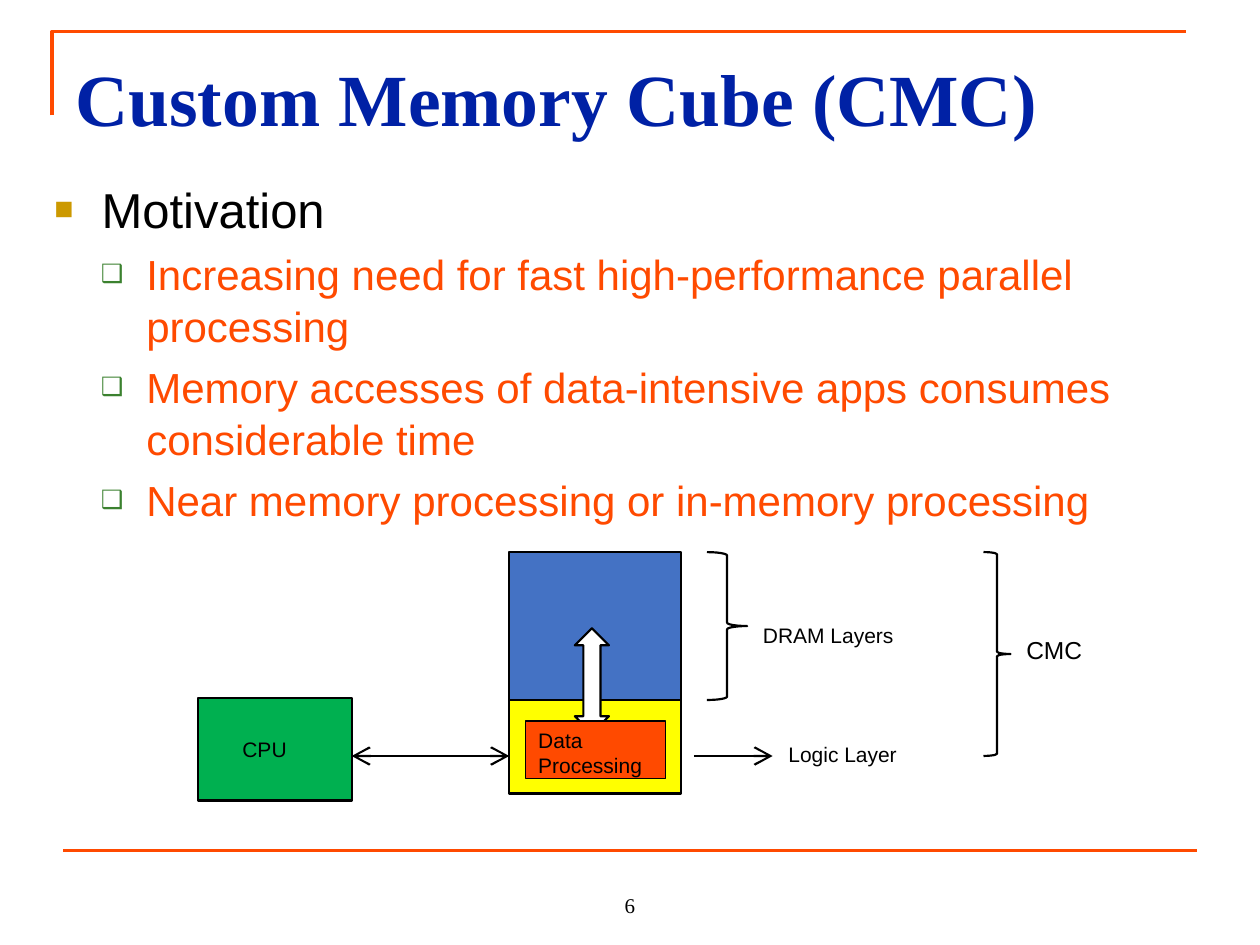
from lxml.etree import SubElement
from pptx import Presentation
from pptx.dml.color import RGBColor
from pptx.enum.shapes import MSO_CONNECTOR, MSO_SHAPE
from pptx.enum.text import MSO_ANCHOR, PP_ALIGN
from pptx.oxml.ns import qn
from pptx.util import Pt

HUES = {"orange": "FF4A00", "navy": "0021A5", "black": "000000", "white": "FFFFFF",
        "gold": "CC9900", "leaf": "3B812F", "blue": "4472C4", "yellow": "FFFF00",
        "green": "00B050"}
LABEL = {"name": "Arial", "size": Pt(12)}
SERIF = {"name": "Times New Roman"}
BARE = {"margin_left": 0, "margin_top": 0, "margin_right": 0, "margin_bottom": 0,
        "word_wrap": False}
LEVELS = [
    {"left": 27, "hang": 27, "mark": "■", "tint": "gold", "scale": 65,
     "hue": "black", "size": 28, "gap": 5.6},
    {"left": 52.5, "hang": 26, "mark": "❑", "tint": "leaf", "scale": 60,
     "hue": "orange", "size": 24, "gap": 4.8},
]
POINTS = [
    (0, "Motivation"),
    (1, "Increasing need for fast high-performance parallel processing"),
    (1, "Memory accesses of data-intensive apps consumes considerable time"),
    (1, "Near memory processing or in-memory processing"),
]


def shade(name):
    """Return the named colour."""
    return RGBColor.from_string(HUES[name])


def apply(item, vals):
    """Set each value in vals on the item."""
    for key, val in vals.items():
        setattr(item, key, val)


def write(para, text, font, hue="black"):
    """Add a styled run to a paragraph."""
    run = para.add_run()
    run.text = text
    apply(run.font, font)
    run.font.color.rgb = shade(hue)


def add_text(slide, box, text, font, hue="black", frame=BARE, align=PP_ALIGN.LEFT):
    """Add a text box with one paragraph."""
    body = slide.shapes.add_textbox(*map(Pt, box)).text_frame
    apply(body, frame)
    body.paragraphs[0].alignment = align
    write(body.paragraphs[0], text, font, hue)


def outline(item, hue, width):
    """Give an item a solid line."""
    item.line.color.rgb = shade(hue)
    item.line.width = Pt(width)


def add_form(slide, kind, box, fill=None, width=1.25):
    """Add a black-lined preset shape."""
    form = slide.shapes.add_shape(kind, *map(Pt, box))
    form.shadow.inherit = False
    if fill:
        form.fill.solid()
        form.fill.fore_color.rgb = shade(fill)
    else:
        form.fill.background()
    outline(form, "black", width)
    return form


def add_line(slide, start, end, hue="black", width=1.25, heads=()):
    """Add a straight line with open heads at the named ends."""
    line = slide.shapes.add_connector(MSO_CONNECTOR.STRAIGHT, *map(Pt, start + end))
    outline(line, hue, width)
    for head in heads:
        SubElement(line.line._get_or_add_ln(), qn("a:" + head),
                   type="arrow", w="lg", len="lg")
    SubElement(line._element.spPr, qn("a:effectLst"))


def add_mark(para, level):
    """Give a paragraph the indent and bullet of its level."""
    props = para._p.get_or_add_pPr()
    props.set("marL", str(Pt(level["left"])))
    props.set("indent", str(-Pt(level["hang"])))
    tint = SubElement(props, qn("a:buClr"))
    SubElement(tint, qn("a:srgbClr"), val=HUES[level["tint"]])
    SubElement(props, qn("a:buSzPct"), val=str(level["scale"] * 1000))
    SubElement(props, qn("a:buFont"), typeface="Arial")
    SubElement(props, qn("a:buChar"), char=level["mark"])


def draw_frame(slide, box):
    """Draw the corner rule, the foot rule and the page number."""
    x, y, w, h = box
    pen = slide.shapes.build_freeform(Pt(x), Pt(y + 48), scale=1.0)
    pen.add_line_segments([(Pt(x), Pt(y)), (Pt(x + w), Pt(y))], close=False)
    rule = pen.convert_to_shape()
    rule.shadow.inherit = False
    rule.fill.background()
    outline(rule, "orange", 2.25)
    add_line(slide, (x + 6, y + h), (x + 6 + w, y + h), "orange", 2.25)
    add_text(slide, (x + 258, y + h + 6, 144, 36), "6", {**SERIF, "size": Pt(12)},
             frame={"vertical_anchor": MSO_ANCHOR.BOTTOM, "word_wrap": True},
             align=PP_ALIGN.CENTER)


def draw_title(slide, box):
    """Write the slide title."""
    add_text(slide, box, "Custom Memory Cube (CMC)",
             {**SERIF, "size": Pt(42), "bold": True}, "navy",
             {"word_wrap": True, "margin_top": Pt(9)})


def draw_points(slide, box):
    """Write the bullet list."""
    body = slide.shapes.add_textbox(*map(Pt, box)).text_frame
    apply(body, {"word_wrap": True, "margin_top": Pt(5)})
    for i, (rank, text) in enumerate(POINTS):
        level = LEVELS[rank]
        para = body.add_paragraph() if i else body.paragraphs[0]
        add_mark(para, level)
        apply(para, {"level": rank, "line_spacing": 1.04,
                     "space_before": Pt(level["gap"] if i else 0)})
        write(para, text, {"name": "Arial", "size": Pt(level["size"])}, level["hue"])


def draw_cube(slide, box):
    """Draw the processor, the memory stack and their labels."""
    x, y, w, h = box
    rect, brace = MSO_SHAPE.RECTANGLE, MSO_SHAPE.RIGHT_BRACE
    stack, wide, deep = x + 178, 98, 84.5
    mid = y + 116.5
    add_form(slide, rect, (stack, y, wide, deep), "blue")
    add_form(slide, rect, (stack, y + deep, wide, 53.5), "yellow")
    add_form(slide, rect, (x, y + 83.5, 88, 58.5), "green")
    add_form(slide, MSO_SHAPE.UP_DOWN_ARROW, (x + 215.5, y + 43.5, 19.5, 60), "white")
    add_line(slide, (x + 88, mid), (stack, mid), heads=("headEnd", "tailEnd"))
    add_line(slide, (x + 283.5, mid), (x + 328.5, mid), heads=("tailEnd",))
    add_form(slide, brace, (x + 291, y, 23, deep))
    add_form(slide, brace, (x + 449, y, 15.5, mid - y))
    for left, top, wid, text, size in [(323, 40, 113, "DRAM Layers", 12),
                                       (337.5, 108.5, 95, "Logic Layer", 12),
                                       (25.5, 105.5, 43, "CPU", 12),
                                       (473.5, 47.5, 52, "CMC", 14)]:
        add_text(slide, (x + left, y + top, wid, 22), text, {**LABEL, "size": Pt(size)})
    data = add_form(slide, rect, (x + 187.5, y + 96.5, 80, 33), "orange", 0.75)
    apply(data.text_frame, {"word_wrap": True, "vertical_anchor": MSO_ANCHOR.TOP})
    para = data.text_frame.paragraphs[0]
    para.alignment = PP_ALIGN.LEFT
    write(para, "Data Processing", LABEL)


def main():
    """Build and save the slide."""
    deck = Presentation()
    apply(deck, {"slide_width": Pt(720), "slide_height": Pt(540)})
    slide = deck.slides.add_slide(deck.slide_layouts[6])
    draw_frame(slide, (30, 18, 648, 468))
    draw_title(slide, (36, 21.5, 648, 74))
    draw_points(slide, (24, 96, 672, 384))
    draw_cube(slide, (113, 315.5, 525, 142))
    deck.save("out.pptx")


if __name__ == "__main__":
    main()
